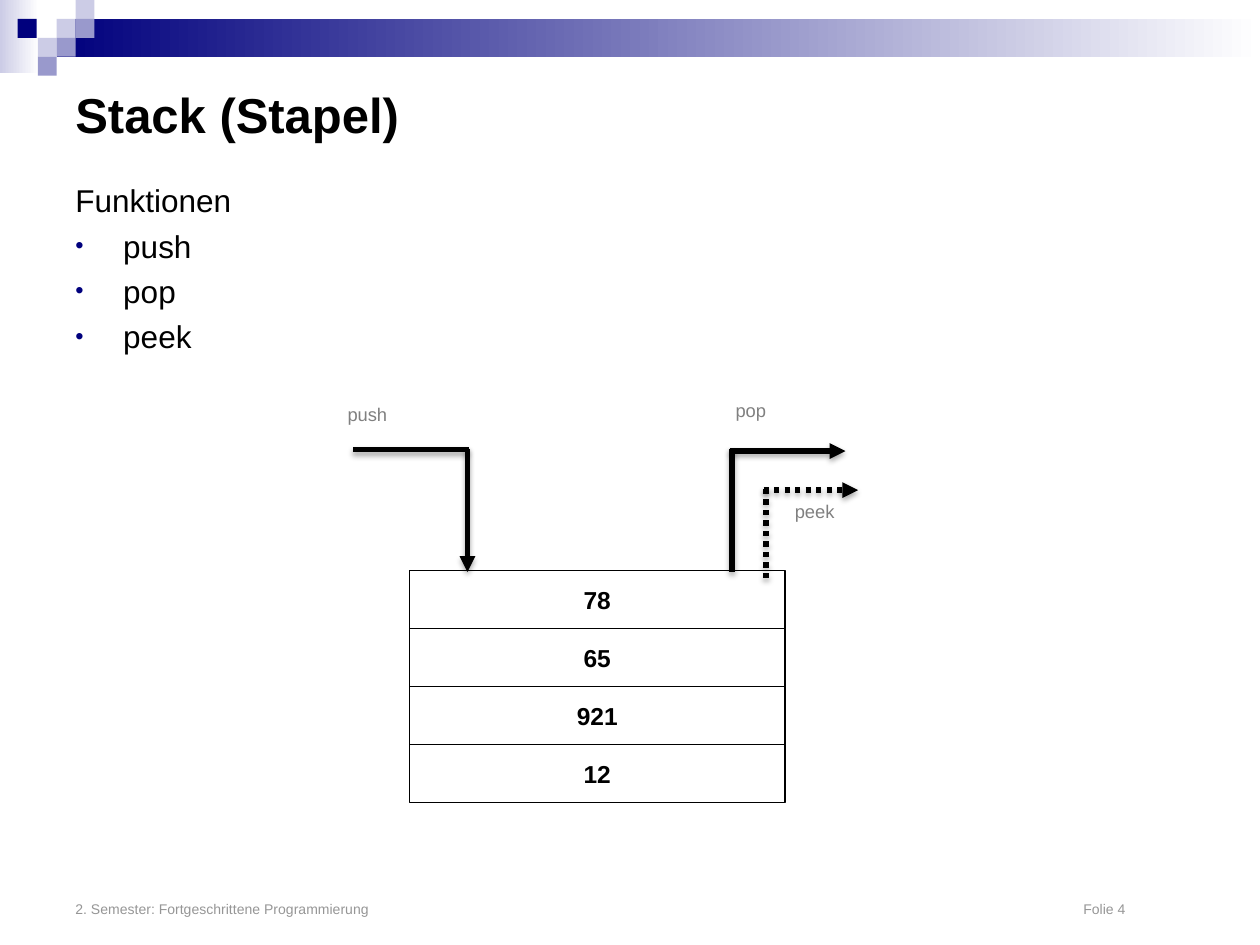
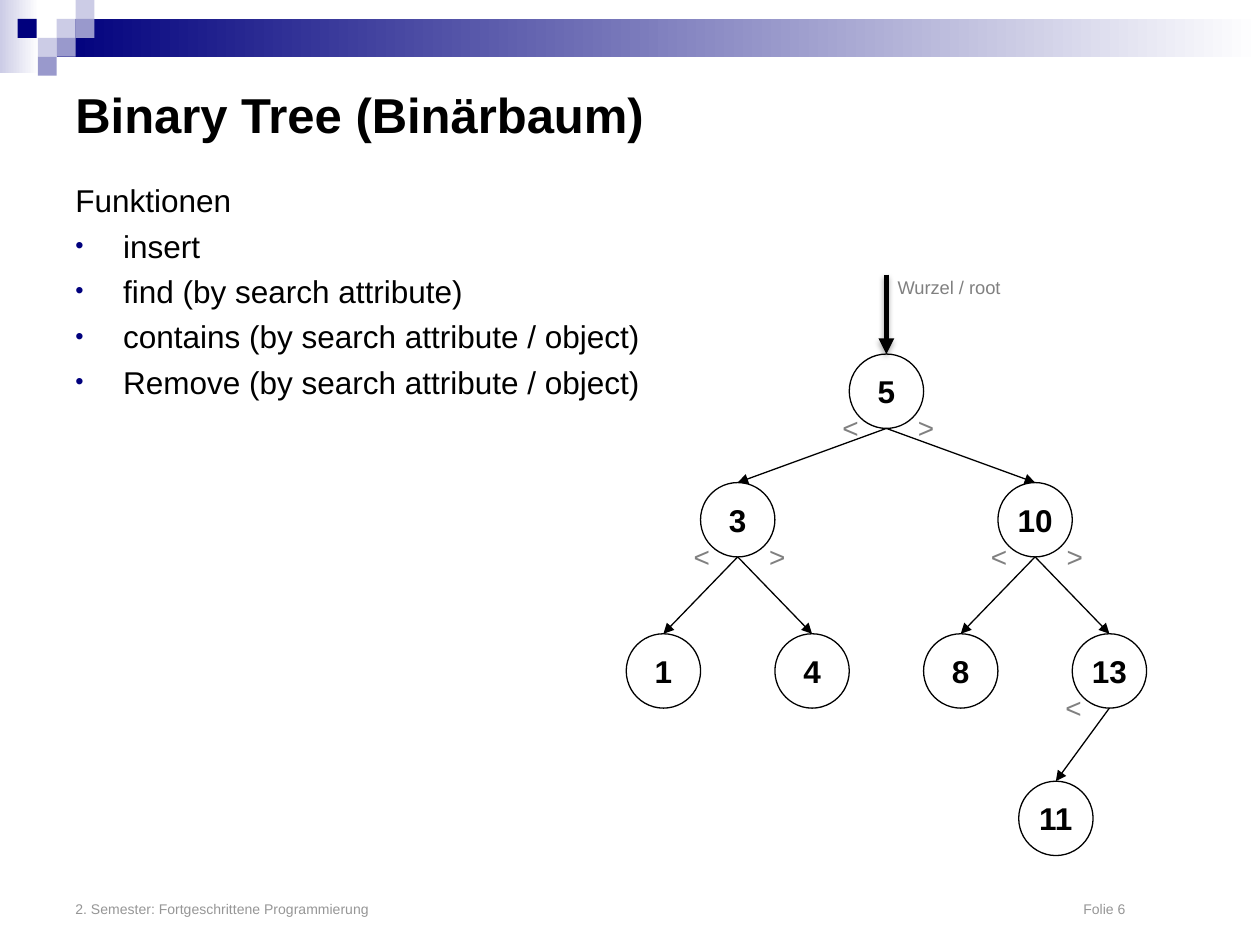
from lxml import etree
from pptx import Presentation
from pptx.dml.color import RGBColor
from pptx.enum.dml import MSO_LINE
from pptx.enum.shapes import MSO_CONNECTOR, MSO_SHAPE
from pptx.enum.text import MSO_ANCHOR, PP_ALIGN
from pptx.oxml.ns import qn
from pptx.util import Inches, Pt

RECT, OVAL = MSO_SHAPE.RECTANGLE, MSO_SHAPE.OVAL
STRAIGHT = MSO_CONNECTOR.STRAIGHT
DOTTED = MSO_LINE.ROUND_DOT
TOP, MIDDLE, BOTTOM = MSO_ANCHOR.TOP, MSO_ANCHOR.MIDDLE, MSO_ANCHOR.BOTTOM
LEFT, CENTER = PP_ALIGN.LEFT, PP_ALIGN.CENTER

COLORS = {
    "ink": "000000",
    "navy": "00007D",
    "lilac": "9999CC",
    "pale": "CCCCE6",
    "paper": "FFFFFF",
    "label": "808080",
    "footer": "969696",
}
FONT = "Arial"
PAGE_LEFT, PAGE_WIDTH = 0.5, 9
TILE = 0.15
TILES = [
    (0.45, 0.15, "pale"), (0.6, 0, "pale"), (0.6, 0.15, "lilac"),
    (0.3, 0.3, "pale"), (0.14, 0.15, "navy"), (0.45, 0.3, "lilac"),
    (0.3, 0.45, "lilac"),
]
COURSE = "2. Semester: Fortgeschrittene Programmierung"


def rgb(name):
    """Return the palette colour with this name."""
    return RGBColor.from_string(COLORS[name])


def add_xml(parent, tag, **attributes):
    """Append an XML child and return it."""
    return etree.SubElement(parent, qn(tag), attributes)


def inches(*lengths):
    """Convert several numbers to lengths."""
    return [Inches(length) for length in lengths]


def write(shape, lines, size, color="ink", bold=False, align=LEFT, anchor=TOP):
    """Fill a shape with evenly styled paragraphs."""
    frame = shape.text_frame
    frame.word_wrap = True
    frame.vertical_anchor = anchor
    frame.text = "\n".join(lines)
    for paragraph in frame.paragraphs:
        paragraph.alignment = align
        font = paragraph.font
        font.name, font.size, font.bold = FONT, Pt(size), bold
        font.color.rgb = rgb(color)
    return frame


def add_text(slide, box, lines, size, **style):
    """Add a text box at left, top, width, height."""
    return write(slide.shapes.add_textbox(*inches(*box)), lines, size, **style)


def add_block(slide, box, color, fade=False):
    """Add a borderless rectangle, optionally fading to white."""
    block = slide.shapes.add_shape(RECT, *inches(*box))
    block.shadow.inherit = False
    block.line.fill.background()
    if fade:
        block.fill.gradient()
        block.fill.gradient_angle = 0
        for stop, name in zip(block.fill.gradient_stops, (color, "paper")):
            stop.color.rgb = rgb(name)
    else:
        block.fill.solid()
        block.fill.fore_color.rgb = rgb(color)


def add_value(slide, kind, box, value, size):
    """Add an outlined shape holding one stored value."""
    holder = slide.shapes.add_shape(kind, *inches(*box))
    holder.shadow.inherit = False
    holder.fill.background()
    holder.line.color.rgb = rgb("ink")
    holder.line.width = Pt(0.75)
    frame = write(holder, [value], size, bold=True, align=CENTER, anchor=MIDDLE)
    frame.word_wrap = False


def add_line(slide, start, end, width=0.75, arrow=True, dash=None, shadow=False):
    """Draw a straight line, with an arrowhead at its end if wanted."""
    line = slide.shapes.add_connector(STRAIGHT, *inches(*start, *end))
    line.line.color.rgb = rgb("ink")
    line.line.width = Pt(width)
    if dash:
        line.line.dash_style = dash
    properties = line._element.spPr
    if arrow:
        add_xml(properties.find(qn("a:ln")), "a:tailEnd", type="triangle")
    effects = add_xml(properties, "a:effectLst")
    if shadow:
        outer = add_xml(effects, "a:outerShdw", blurRad="40000", dist="23000",
                        dir="5400000", rotWithShape="0")
        tint = add_xml(outer, "a:srgbClr", val=COLORS["ink"])
        add_xml(tint, "a:alpha", val="35000")


def add_masthead(slide):
    """Draw the fading bands and the mosaic of tiles."""
    add_block(slide, (0, 0, 0.31, 0.58), "pale", fade=True)
    add_block(slide, (0.45, 0.15, 9.55, 0.3), "navy", fade=True)
    for left, top, color in TILES:
        add_block(slide, (left, top, TILE, TILE), color)


def add_footer(slide, number):
    """Write the course and the slide number, set apart by a tab stop."""
    frame = add_text(slide, (PAGE_LEFT, 6.83, PAGE_WIDTH, 0.5),
                     [f"{COURSE}\tFolie {number}"], 8, color="footer", anchor=BOTTOM)
    properties = frame.paragraphs[0]._p.get_or_add_pPr()
    stops = etree.Element(qn("a:tabLst"))
    add_xml(stops, "a:tab", pos=str(Inches(8)), algn="l")
    properties.insert(0, stops)


def add_functions(slide, box, names):
    """List the functions of the data structure as bullets."""
    frame = add_text(slide, box, ["Funktionen", *names], 18)
    for index, paragraph in enumerate(frame.paragraphs):
        paragraph.space_before = Pt(4.3)
        properties = paragraph._p.get_or_add_pPr()
        properties.set("marL", str(Inches(0.38)))
        properties.set("indent", str(-Inches(0.38)))
        bullet = []
        if index:
            color = etree.Element(qn("a:buClr"))
            add_xml(color, "a:srgbClr", val=COLORS["navy"])
            bullet = [color,
                      etree.Element(qn("a:buSzPct"), val="75000"),
                      etree.Element(qn("a:buFont"), typeface=FONT),
                      etree.Element(qn("a:buChar"), char="•")]
        else:
            bullet = [etree.Element(qn("a:buNone"))]
        for part in bullet:
            properties.find(qn("a:defRPr")).addprevious(part)


def start_slide(deck, title, number, names, body_height):
    """Create a slide with masthead, title, function list and footer."""
    slide = deck.slides.add_slide(deck.slide_layouts[6])
    add_masthead(slide)
    add_text(slide, (PAGE_LEFT, 0.5, PAGE_WIDTH, 0.81), [title], 28,
             bold=True, anchor=MIDDLE)
    add_functions(slide, (PAGE_LEFT, 1.39, PAGE_WIDTH, body_height), names)
    add_footer(slide, number)
    return slide


def add_stack(slide, box, values):
    """Draw the stacked values with the push, pop and peek arrows."""
    left, top, width, height = box
    row = height / len(values)
    for index, value in reversed(list(enumerate(values))):
        add_value(slide, RECT, (left, top + index * row, width, row), value, 14)

    arrows = [
        ((2.54, -0.95), (3.46, -0.95), True, None),
        ((2.56, -0.97), (2.56, 0.01), False, None),
        ((0.46, -0.97), (0.46, 0.01), True, None),
        ((0.47, -0.96), (-0.45, -0.96), False, None),
        ((2.81, -0.64), (3.56, -0.64), True, DOTTED),
        ((2.83, -0.65), (2.83, 0.06), False, DOTTED),
    ]
    for start, end, arrow, dash in arrows:
        add_line(slide, (left + start[0], top + start[1]),
                 (left + end[0], top + end[1]), 3, arrow, dash, shadow=True)

    labels = [("push", -0.59, -1.38, 0.82), ("pop", 2.49, -1.41, 0.7),
              ("peek", 2.96, -0.61, 0.82)]
    for label, x, y, label_width in labels:
        add_text(slide, (left + x, top + y, label_width, 0.46), [label], 10.5,
                 color="label")


def add_tree(slide, box, nodes, edges):
    """Draw a binary tree of (column, row top) nodes and its ordered edges."""
    left, top, diameter = box

    def center(value):
        """Return the horizontal centre of a node."""
        return left + (nodes[value][0] + 0.5) * diameter

    for value, (column, row_top) in nodes.items():
        add_value(slide, OVAL, (left + column * diameter, top + row_top,
                                diameter, diameter), value, 18)
    for parent, child in edges:
        parent_bottom = top + nodes[parent][1] + diameter
        add_line(slide, (center(parent), parent_bottom),
                 (center(child), top + nodes[child][1]))
        sign, shift = ("<", -0.45) if int(child) < int(parent) else (">", 0.15)
        add_text(slide, (center(parent) + shift, parent_bottom - 0.19, 0.33, 0.37),
                 [sign], 16, color="label", align=CENTER)

    root = center(next(iter(nodes)))
    add_line(slide, (root, top - 0.63), (root, top), 3, shadow=True)
    add_text(slide, (root - 0.01, top - 0.67, 1.1, 0.28), ["Wurzel / root"], 10.5,
             color="label")


def main():
    """Build and save both slides."""
    deck = Presentation()
    deck.slide_width, deck.slide_height = Inches(10), Inches(7.5)

    stack = start_slide(deck, "Stack (Stapel)", 4, ["push", "pop", "peek"], 3.64)
    add_stack(stack, (3.25, 4.53, 2.98, 1.84), ["78", "65", "921", "12"])

    tree = start_slide(
        deck, "Binary Tree (Binärbaum)", 6,
        ["insert", "find (by search attribute)",
         "contains (by search attribute / object)",
         "Remove (by search attribute / object)"], 3.27)
    nodes = {"5": (3, 0), "3": (1, 1.02), "10": (5, 1.02), "1": (0, 2.22),
             "4": (2, 2.22), "8": (4, 2.22), "13": (6, 2.22), "11": (5.28, 3.39)}
    edges = [("5", "3"), ("5", "10"), ("3", "1"), ("3", "4"), ("10", "8"),
             ("10", "13"), ("13", "11")]
    add_tree(tree, (4.97, 2.81, 0.59), nodes, edges)

    deck.save("out.pptx")


main()
